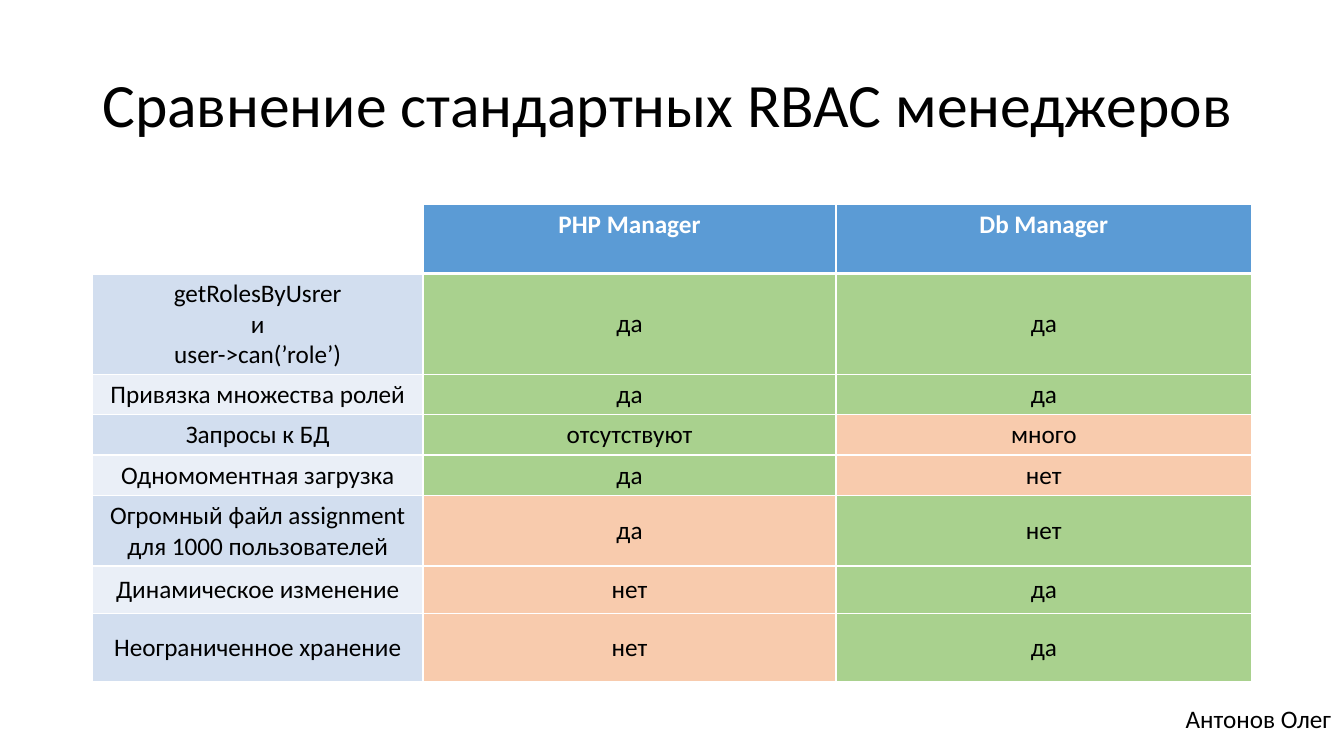
"""Build a slide comparing the standard RBAC managers."""
from lxml.etree import SubElement as Sub
from pptx import Presentation
from pptx.dml.color import RGBColor as RGB
from pptx.enum.text import MSO_ANCHOR as Anchor, PP_ALIGN as Align
from pptx.oxml import parse_xml
from pptx.oxml.ns import nsdecls, qn
from pptx.util import Cm, Pt

TITLE = "Сравнение стандартных RBAC менеджеров"
AUTHOR = "Антонов Олег"
HEADS = ("", "PHP Manager", "Db Manager")
ROWS = [
    ("getRolesByUsrer\nи\nuser->can(’role’)", ("да", "good"), ("да", "good"), 2.46),
    ("Привязка множества ролей", ("да", "good"), ("да", "good"), 1),
    ("Запросы к БД", ("отсутствуют", "good"), ("много", "bad"), 1),
    ("Одномоментная загрузка", ("да", "good"), ("нет", "bad"), 1),
    ("Огромный файл assignment для 1000 пользователей",
     ("да", "bad"), ("нет", "good"), 1.73),
    ("Динамическое изменение", ("нет", "bad"), ("да", "good"), 1.19),
    ("Неограниченное хранение", ("нет", "bad"), ("да", "good"), 1.73),
]
COLORS = {"white": "FFFFFF", "black": "000000", "head": "5B9BD5",
          "odd": "D2DEEF", "even": "EAEFF7", "good": "A9D18E", "bad": "F8CBAD"}
FONT = "Calibri"
LEFT, WIDTH = 2.33, 29.21
TOP, HEAD = 5.16, 1.73
COLS = (8.33, 10.41, 10.47)


def style(frame, size, color="black", bold=False, align=Align.LEFT):
    for para in frame.paragraphs:
        para.alignment = align
        for run in para.runs:
            font = run.font
            font.name, font.size, font.bold = FONT, Pt(size), bold
            font.color.rgb = RGB.from_string(COLORS[color])


def label(text, box, size, anchor=Anchor.TOP):
    frame = slide.shapes.add_textbox(*map(Cm, box)).text_frame
    frame.word_wrap = True
    frame.vertical_anchor = anchor
    frame.text = text
    style(frame, size)


def edge(cell, top, bottom):
    props = cell._tc.get_or_add_tcPr()
    sides = (("L", 1), ("R", 1), ("T", top), ("B", bottom))
    for place, (side, width) in enumerate(sides):
        line = parse_xml(f'<a:ln{side} {nsdecls("a")} w="{Pt(width)}"/>')
        fill = Sub(line, qn("a:solidFill"))
        Sub(fill, qn("a:srgbClr"), val=COLORS["white"])
        props.insert(place, line)


def paint(cell, text, fill, head):
    cell.text_frame.text = text
    cell.vertical_anchor = Anchor.TOP if head else Anchor.MIDDLE
    style(cell.text_frame, 18, "white" if head else "black", head, Align.CENTER)
    cell.fill.solid()
    cell.fill.fore_color.rgb = RGB.from_string(COLORS[fill])


deck = Presentation()
deck.slide_width, deck.slide_height = Cm(33.87), Cm(19.05)
slide = deck.slides.add_slide(deck.slide_layouts[6])

label(TITLE, (LEFT, 0.76, WIDTH, 3.68), 44, Anchor.MIDDLE)

grid = [[(text, "head" if text else "white") for text in HEADS]]
for num, (name, php, base, _) in enumerate(ROWS):
    grid.append([(name, "even" if num % 2 else "odd"), php, base])
highs = [HEAD] + [row[-1] for row in ROWS]

table = slide.shapes.add_table(len(grid), len(COLS), Cm(LEFT), Cm(TOP),
                               Cm(WIDTH), Cm(sum(highs))).table
for col, width in zip(table.columns, COLS):
    col.width = Cm(width)
for num, (row, high) in enumerate(zip(grid, highs)):
    table.rows[num].height = Cm(high)
    for col, (text, fill) in enumerate(row):
        cell = table.cell(num, col)
        paint(cell, text, fill, num == 0)
        edge(cell, 3 if num == 1 else 1, 3 if num == 0 else 1)

label(AUTHOR, (29.63, 17.6, 4.24, 1.02), 18)

deck.save("out.pptx")
